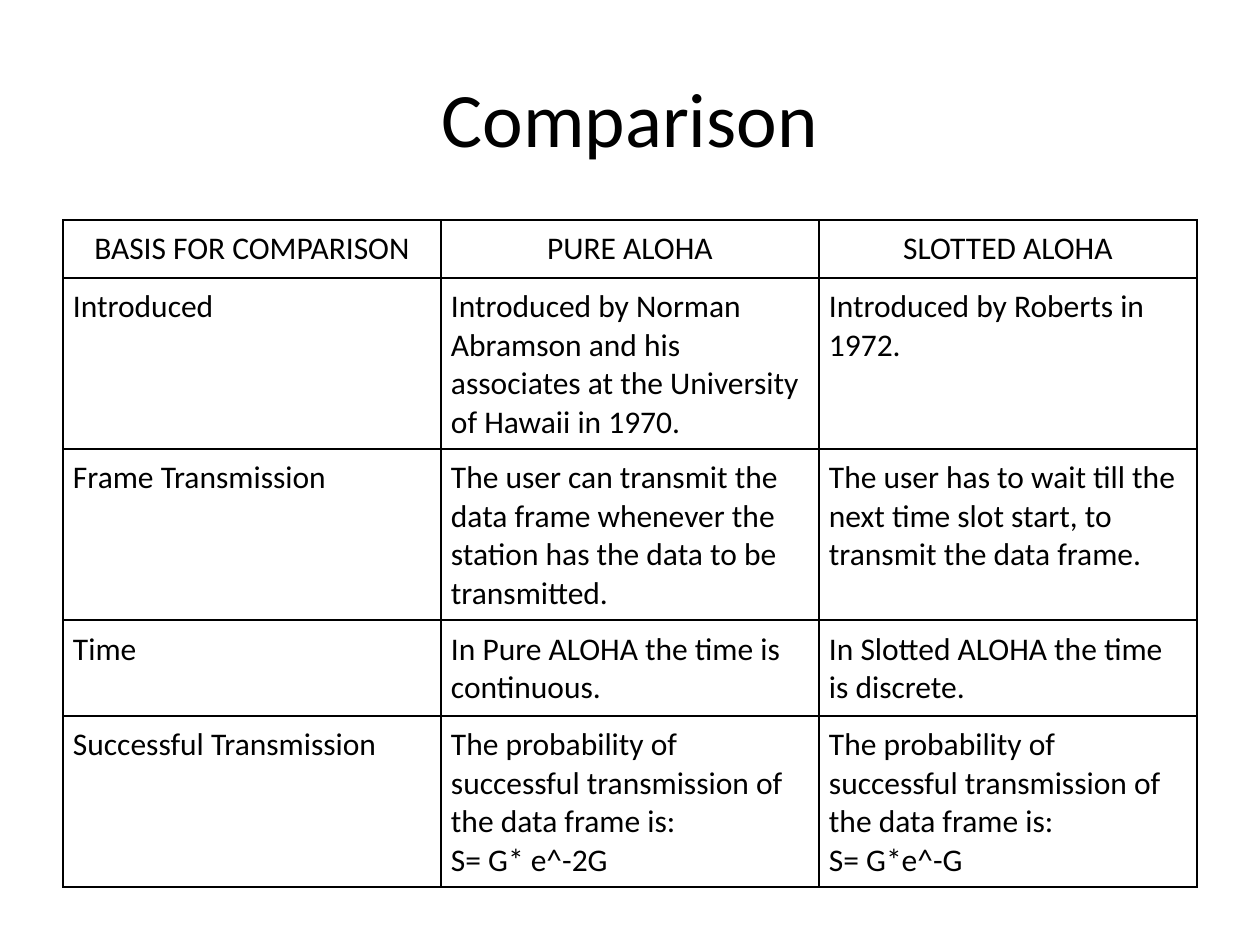
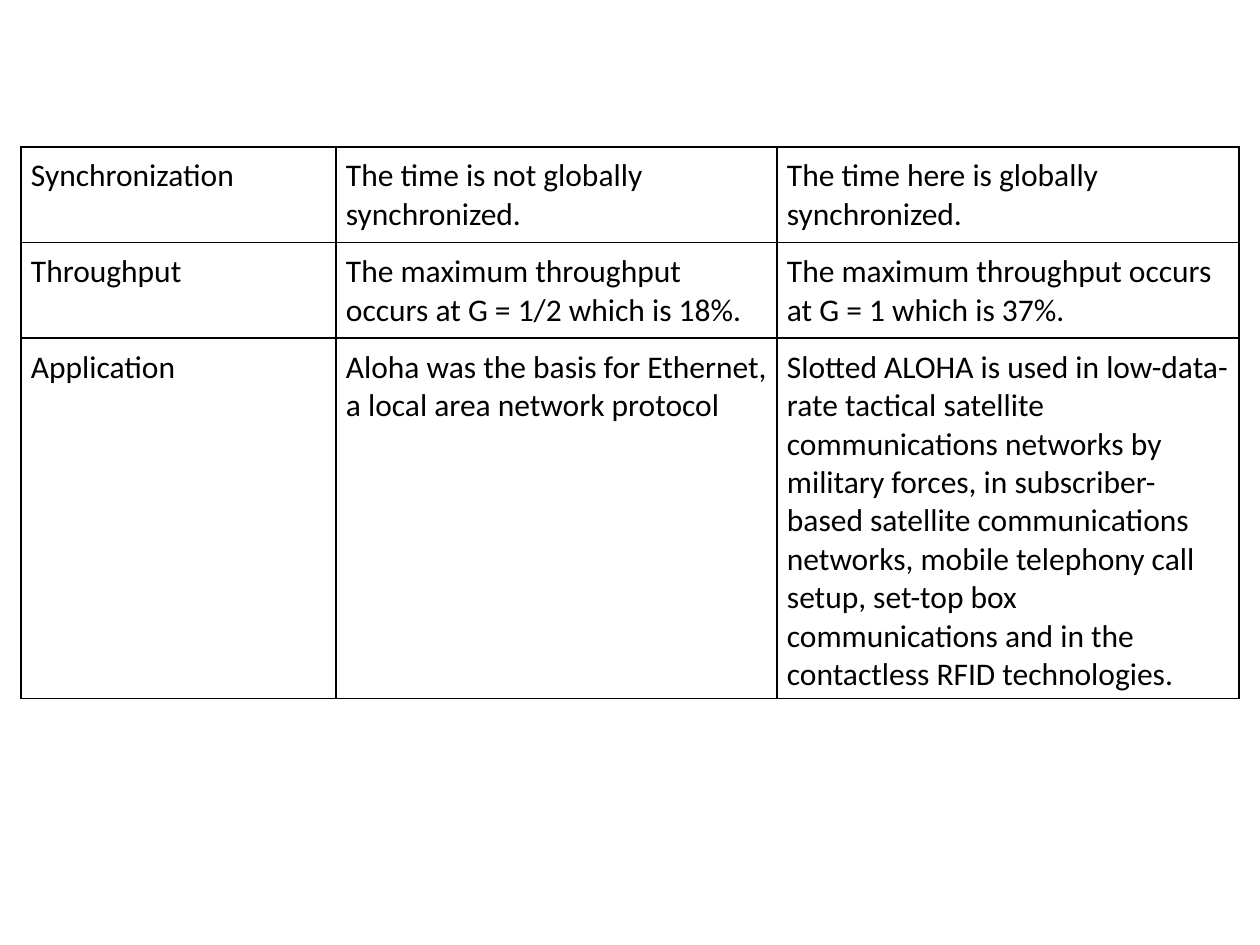
import pptx
import pptx.util
import pptx.dml.color
import pptx.enum.text
import pptx.oxml
import pptx.oxml.ns

INK = {"text": "000000", "line": "000000", "page": "FFFFFF"}
SCALE = 914400 / 126
ALIGN = pptx.enum.text.PP_ALIGN
ANCHOR = pptx.enum.text.MSO_ANCHOR


def px(size):
    return pptx.util.Emu(round(size * SCALE))


def color(name):
    return pptx.dml.color.RGBColor.from_string(INK[name])


class Deck:
    """Hold the shared style and the current slide."""

    face = "Calibri"
    pad = 10
    row = 52

    def __init__(self):
        self.show = pptx.Presentation()
        self.show.slide_width = px(1260)
        self.show.slide_height = px(945)
        self.slide = None

    def page(self):
        self.slide = self.show.slides.add_slide(self.show.slide_layouts[6])
        fill = self.slide.background.fill
        fill.solid()
        fill.fore_color.rgb = color("page")

    def style(self, para, size, align):
        para.alignment = align
        para.font.name = self.face
        para.font.size = pptx.util.Pt(size)
        para.font.color.rgb = color("text")

    def title(self, text):
        box = self.slide.shapes.add_textbox(px(63), px(38), px(1134), px(157))
        frame = box.text_frame
        frame.word_wrap = True
        frame.vertical_anchor = ANCHOR.MIDDLE
        frame.text = text
        self.style(frame.paragraphs[0], 44, ALIGN.CENTER)

    def border(self, cell):
        props = cell._tc.get_or_add_tcPr()
        space = pptx.oxml.ns.nsdecls("a")
        for side in "LRTB":
            props.append(pptx.oxml.parse_xml(
                f'<a:ln{side} {space} w="12700"><a:solidFill>'
                f'<a:srgbClr val="{INK["line"]}"/></a:solidFill></a:ln{side}>'))

    def cell(self, cell, text, head, fill):
        cell.margin_left = cell.margin_right = px(self.pad)
        cell.margin_top = cell.margin_bottom = px(self.pad)
        cell.vertical_anchor = ANCHOR.MIDDLE if head else ANCHOR.TOP
        para = cell.text_frame.paragraphs[0]
        para.text = text
        self.style(para, 18, ALIGN.CENTER if head else ALIGN.LEFT)
        self.border(cell)
        if fill:
            cell.fill.solid()
            cell.fill.fore_color.rgb = color(fill)
        else:
            cell.fill.background()

    def table(self, left, top, high, widths, rows, head=False, fill=None):
        frame = self.slide.shapes.add_table(
            len(rows), len(widths), px(left), px(top), px(sum(widths)), px(high))
        grid = frame.table
        grid.first_row = head
        grid.horz_banding = False
        for col, width in zip(grid.columns, widths):
            col.width = px(width)
        for i, texts in enumerate(rows):
            grid.rows[i].height = px(self.row)
            for j, text in enumerate(texts):
                self.cell(grid.cell(i, j), text, head and i == 0, fill)
        frame.height = px(high)


BASICS = [
    ("BASIS FOR COMPARISON", "PURE ALOHA", "SLOTTED ALOHA"),
    ("Introduced",
     "Introduced by Norman Abramson and his associates at the University "
     "of Hawaii in 1970.",
     "Introduced by Roberts in 1972."),
    ("Frame Transmission",
     "The user can transmit the data frame whenever the station has the "
     "data to be transmitted.",
     "The user has to wait till the next time slot start, to transmit the "
     "data frame."),
    ("Time",
     "In Pure ALOHA the time is continuous.",
     "In Slotted ALOHA the time is discrete."),
    ("Successful Transmission",
     "The probability of successful transmission of the data frame is:\v"
     "S= G* e^-2G",
     "The probability of successful transmission of the data frame is:\v"
     "S= G*e^-G"),
]

USES = [
    ("Synchronization",
     "The time is not globally synchronized.",
     "The time here is globally synchronized."),
    ("Throughput",
     "The maximum throughput occurs at G = 1/2 which is 18%.",
     "The maximum throughput occurs at G = 1 which is 37%."),
    ("Application",
     "Aloha was the basis for Ethernet, a local area network protocol",
     "Slotted ALOHA is used in low-data-rate tactical satellite "
     "communications networks by military forces, in subscriber-based "
     "satellite communications networks, mobile telephony call setup, "
     "set-top box communications and in the contactless RFID technologies."),
]


def main():
    deck = Deck()
    deck.page()
    deck.title("Comparison")
    deck.table(63, 220, 672, [378] * 3, BASICS, head=True)
    deck.page()
    deck.table(21, 147, 554, [315, 441, 462], USES, fill="page")
    deck.show.save("out.pptx")


if __name__ == "__main__":
    main()
